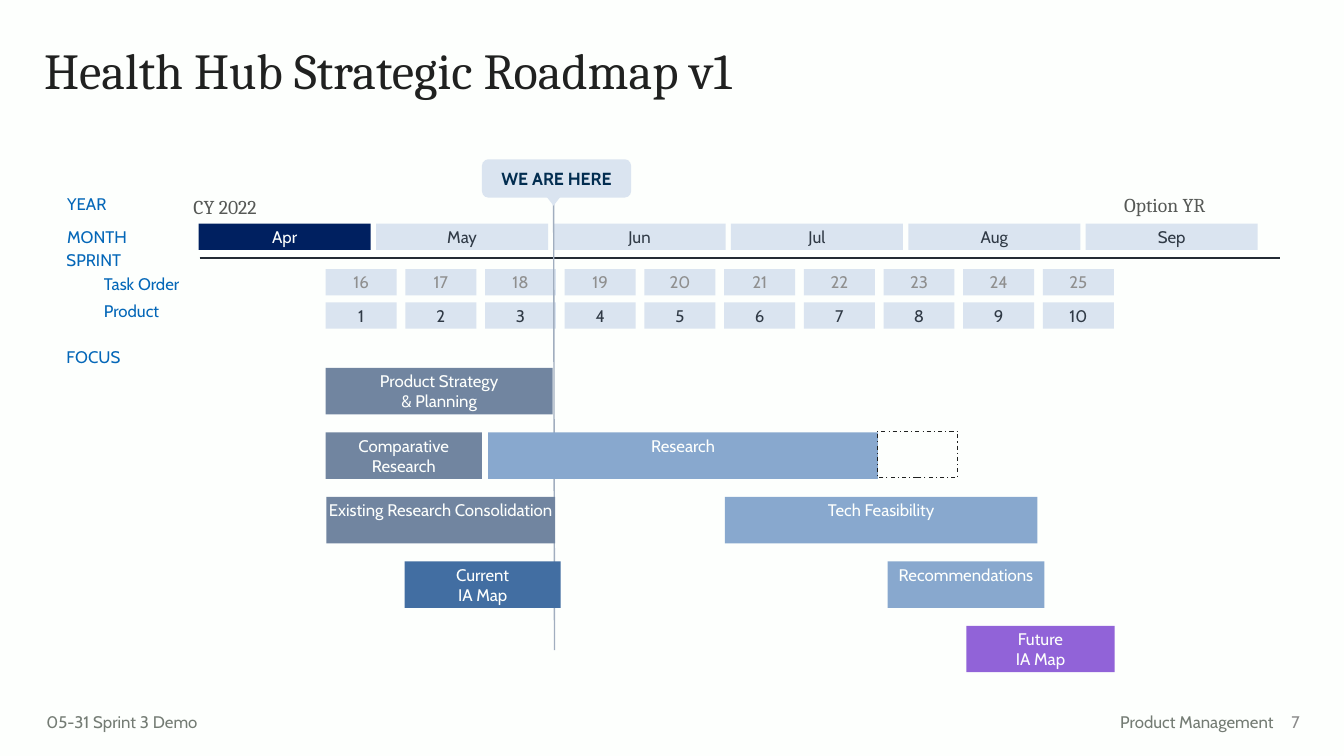
"""Build the Health Hub strategic roadmap slide."""
import dataclasses

import lxml.etree
import pptx
import pptx.dml.color
import pptx.enum.dml
import pptx.enum.shapes
import pptx.enum.text
import pptx.oxml.ns
import pptx.util

ALIGN = pptx.enum.text.PP_ALIGN
ANCHOR = pptx.enum.text.MSO_ANCHOR
SHAPE = pptx.enum.shapes.MSO_SHAPE
WIDTH = pptx.util.Inches(13.33)
HEIGHT = pptx.util.Inches(7.5)
COLOURS = {
    "paper": "FDFFFD", "title": "202120", "number": "8A8A8A", "footer": "747C74",
    "axis": "232B34", "label": "0467B8", "year": "565956", "navy": "002060",
    "pale": "DAE4F0", "muted": "8F8F8F", "ink": "303A46", "marker": "A1AEBF",
    "callout": "022D50", "slate": "7185A0", "sky": "88A8CE", "blue": "426EA2",
    "purple": "9163D8",
}


@dataclasses.dataclass(frozen=True)
class Frame:
    """Hold a place as percentages of the slide's width and height."""
    left: float
    top: float
    width: float
    height: float

    def lengths(self) -> tuple[int, int, int, int]:
        """Return left, top, width and height in slide units."""
        return (int(WIDTH * self.left / 100), int(HEIGHT * self.top / 100),
                int(WIDTH * self.width / 100), int(HEIGHT * self.height / 100))


@dataclasses.dataclass(frozen=True)
class Grid:
    """Place blocks by column and row; all sizes are slide percentages."""
    left: float
    top: float
    column: float
    row: float

    def place(self, column: float, row: float, columns: float, rows: float) -> Frame:
        """Return the frame of a block on this grid."""
        return Frame(self.left + column * self.column, self.top + row * self.row,
                     columns * self.column, rows * self.row)


@dataclasses.dataclass(frozen=True)
class Style:
    """Describe how text looks; insets are in inches, left, top, right, bottom."""
    colour: str
    size: float = 12
    font: str = "Cabin"
    bold: bool = False
    align: ALIGN = ALIGN.LEFT
    anchor: ANCHOR = ANCHOR.TOP
    insets: tuple[float, float, float, float] = (0.1, 0.05, 0.1, 0.05)
    spacing: float = 1.0
    wrap: bool = True


@dataclasses.dataclass(frozen=True)
class Caption:
    """Describe a piece of text without a fill."""
    text: str
    frame: Frame
    style: Style


@dataclasses.dataclass(frozen=True)
class Bar:
    """Describe a focus bar, measured in sprint columns."""
    text: str
    column: float
    row: int
    columns: float
    colour: str
    anchor: ANCHOR = ANCHOR.TOP


MONTHS = Grid(14.78, 29.6, 13.2, 4.4)
SPRINTS = Grid(24.23, 35.6, 5.93, 4.4)
FOCUS = Grid(24.23, 48.67, 5.93, 8.53)
BAR_ROWS = 0.72

LABEL = Style("label", insets=(0, 0, 0, 0))
YEAR = Style("year", 14, "Cambria")
FOOTER = Style("footer", insets=(0, 0.05, 0.1, 0.05))
BLOCK = Style("ink", align=ALIGN.CENTER, insets=(0.03,) * 4, wrap=False)
CALLOUT = Style("callout", 12.5, bold=True, align=ALIGN.CENTER, anchor=ANCHOR.MIDDLE)

CAPTIONS = [
    Caption("Health Hub Strategic Roadmap v1", Frame(2.55, 5.47, 93.17, 10.93),
            Style("title", 36, "Cambria", spacing=0.9)),
    Caption("7", Frame(94.15, 92.8, 3.3, 5.33),
            Style("number", align=ALIGN.RIGHT, anchor=ANCHOR.MIDDLE)),
    Caption("Product Management", Frame(73.14, 93.47, 22.36, 4),
            Style("footer", align=ALIGN.RIGHT)),
    Caption("05-31 Sprint 3 Demo", Frame(3.45, 93.47, 22.36, 4), FOOTER),
    Caption("CY 2022", Frame(13.65, 25.07, 22.51, 4.53), YEAR),
    Caption("Option YR", Frame(82.9, 24.8, 16, 4.53), YEAR),
    *(Caption(text, Frame(left, top, 7.65, 2.67), LABEL) for text, left, top in [
        ("YEAR", 5, 25.6), ("MONTH", 5, 30), ("SPRINT", 4.95, 33.07),
        ("Task Order", 7.73, 36.27), ("Product", 7.73, 39.73), ("FOCUS", 4.95, 45.87),
    ]),
]
BARS = [
    Bar("Product Strategy\n& Planning", 0, 0, 2.85, "slate", ANCHOR.MIDDLE),
    Bar("Comparative\nResearch", 0, 1, 1.96, "slate", ANCHOR.MIDDLE),
    Bar("Research", 2.04, 1, 4.89, "sky"),
    Bar("Existing Research Consolidation", 0.01, 2, 2.87, "slate"),
    Bar("Tech Feasibility", 5.01, 2, 3.92, "sky"),
    Bar("Current\nIA Map", 0.99, 3, 1.96, "blue"),
    Bar("Recommendations", 7.05, 3, 1.97, "sky"),
    Bar("Future\nIA Map", 8.04, 4, 1.86, "purple"),
]


def colour(name: str) -> pptx.dml.color.RGBColor:
    """Look up a named colour."""
    return pptx.dml.color.RGBColor.from_string(COLOURS[name])


def write(box, text: str, style: Style) -> None:
    """Put styled text in a box."""
    frame = box.text_frame
    frame.text = text
    frame.word_wrap = style.wrap
    frame.vertical_anchor = style.anchor
    (frame.margin_left, frame.margin_top, frame.margin_right,
     frame.margin_bottom) = map(pptx.util.Inches, style.insets)
    for paragraph in frame.paragraphs:
        paragraph.alignment = style.align
        paragraph.line_spacing = style.spacing
        for span in paragraph.runs:
            span.font.name = style.font
            span.font.size = pptx.util.Pt(style.size)
            span.font.bold = style.bold
            span.font.color.rgb = colour(style.colour)


def draw_shape(page, frame: Frame, fill: str, kind=SHAPE.RECTANGLE):
    """Draw a filled shape without line or shadow."""
    shape = page.shapes.add_shape(kind, *frame.lengths())
    shape.shadow.inherit = False
    shape.fill.solid()
    shape.fill.fore_color.rgb = colour(fill)
    shape.line.fill.background()
    return shape


def draw_block(page, frame: Frame, text: str, fill: str, style: Style) -> None:
    """Draw a filled rectangle with text."""
    write(draw_shape(page, frame, fill), text, style)


def draw_line(page, frame: Frame, line_colour: str, weight: float) -> None:
    """Draw a straight line across a frame."""
    left, top, width, height = frame.lengths()
    line = page.shapes.add_connector(pptx.enum.shapes.MSO_CONNECTOR.STRAIGHT,
                                     left, top, left + width, top + height)
    line.line.color.rgb = colour(line_colour)
    line.line.width = pptx.util.Pt(weight)
    lxml.etree.SubElement(line._element.spPr, pptx.oxml.ns.qn("a:effectLst"))


def draw_calendar(page) -> None:
    """Draw the months and both sprint rows."""
    for column, month in enumerate(["Apr", "May", "Jun", "Jul", "Aug", "Sep"]):
        fill, ink = ("pale", "ink") if column else ("navy", "paper")
        draw_block(page, MONTHS.place(column, 0, 0.97, 0.79), month, fill,
                   dataclasses.replace(BLOCK, colour=ink))
    for row, (first, ink) in enumerate([(16, "muted"), (1, "ink")]):
        for column in range(10):
            draw_block(page, SPRINTS.place(column, row, 0.89, 0.79), str(first + column),
                       "pale", dataclasses.replace(BLOCK, colour=ink))


def draw_marker(page) -> None:
    """Draw the line and callout for today."""
    draw_line(page, Frame(41.19, 23.6, 0.07, 62.4), "marker", 1)
    callout = draw_shape(page, Frame(35.86, 21.07, 11.1, 5.07), "pale",
                         SHAPE.ROUNDED_RECTANGLE)
    write(callout, "WE ARE HERE", CALLOUT)
    pointer = draw_shape(page, Frame(40.66, 26, 1.05, 1.2), "pale",
                         SHAPE.ISOSCELES_TRIANGLE)
    pointer.rotation = 180


def draw_focus(page) -> None:
    """Draw the focus bars and the dashed extension of the research bar."""
    for bar in BARS:
        draw_block(page, FOCUS.place(bar.column, bar.row, bar.columns, BAR_ROWS), bar.text,
                   bar.colour, dataclasses.replace(BLOCK, colour="paper", anchor=bar.anchor))
    extension = draw_shape(page, FOCUS.place(6.92, 0.98, 1.01, BAR_ROWS), "paper")
    extension.fill.background()
    extension.line.color.rgb = colour("title")
    extension.line.width = pptx.util.Pt(0.75)
    extension.line.dash_style = pptx.enum.dml.MSO_LINE.DASH_DOT


def main() -> None:
    """Build and save the deck."""
    deck = pptx.Presentation()
    deck.slide_width, deck.slide_height = WIDTH, HEIGHT
    page = deck.slides.add_slide(deck.slide_layouts[6])
    page.background.fill.solid()
    page.background.fill.fore_color.rgb = colour("paper")
    for caption in CAPTIONS:
        write(page.shapes.add_textbox(*caption.frame.lengths()), caption.text, caption.style)
    draw_line(page, Frame(14.85, 34.13, 80.42, 0), "axis", 0.75)
    draw_calendar(page)
    draw_marker(page)
    draw_focus(page)
    deck.save("out.pptx")


if __name__ == "__main__":
    main()
